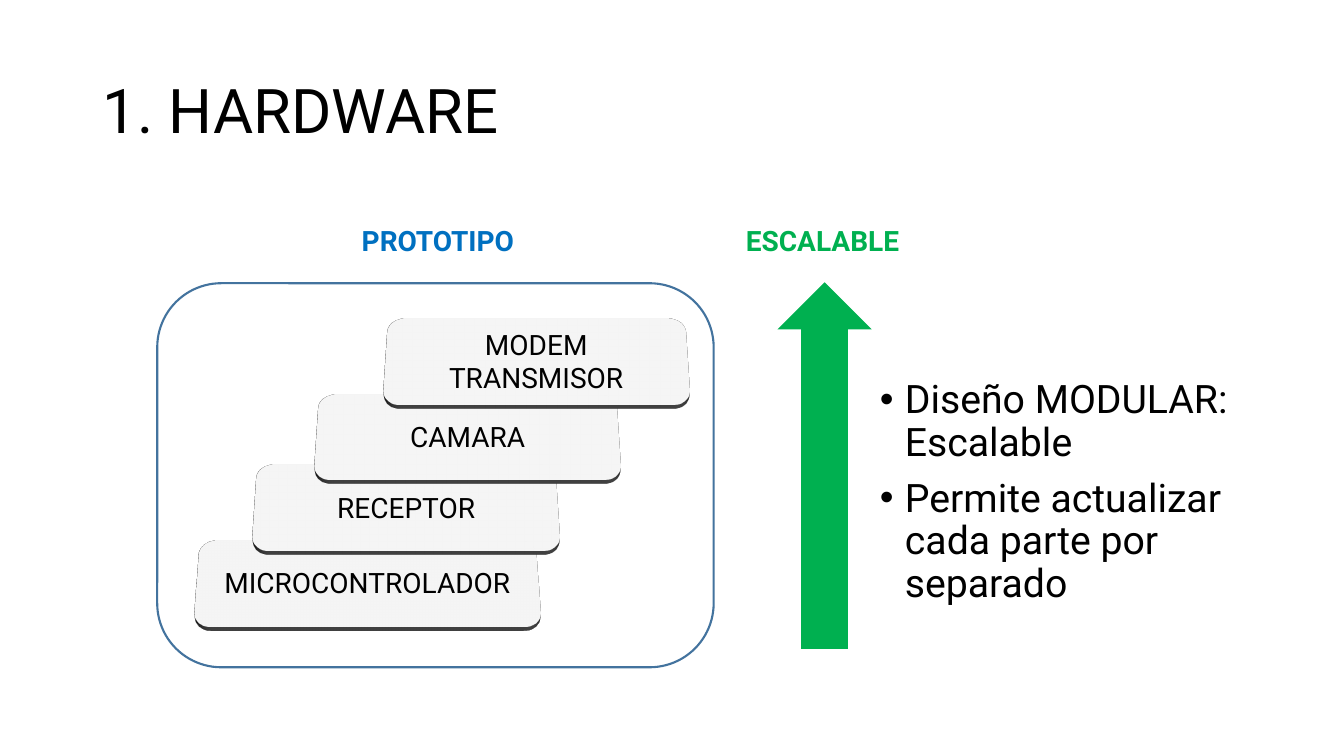
from lxml.etree import SubElement
from pptx import Presentation
from pptx.dml.color import RGBColor
from pptx.enum.shapes import MSO_SHAPE as Preset
from pptx.enum.text import MSO_ANCHOR as Anchor
from pptx.enum.text import MSO_AUTO_SIZE as AutoSize
from pptx.enum.text import PP_ALIGN as Align
from pptx.oxml.ns import qn
from pptx.util import Inches, Pt

BLACK = RGBColor(0x00, 0x00, 0x00)
BLUE = RGBColor(0x00, 0x70, 0xC0)
GREEN = RGBColor(0x00, 0xB0, 0x50)
FRAME_BLUE = RGBColor(0x43, 0x73, 0x9E)
CARD_GRAY = RGBColor(0xA6, 0xA6, 0xA6)
CARD_LINE = RGBColor(0x80, 0x80, 0x80)

# Grid of square cells, 75 rows high
ROWS = 75
CARD_HEIGHT = 10.4


class HardwareSlide:
    font_name = "Roboto"

    def __init__(self, presentation):
        self.cell = presentation.slide_height / ROWS
        self.slide = presentation.slides.add_slide(presentation.slide_layouts[5])
        self.shapes = self.slide.shapes

    def grid(self, *cells):
        return [round(value * self.cell) for value in cells]

    def style(self, paragraph, size, color=BLACK, bold=False, align=Align.LEFT):
        font = paragraph.font
        font.name, font.size, font.bold = self.font_name, Pt(size), bold
        font.color.rgb = color
        paragraph.alignment = align

    def title(self, text, box):
        title = self.shapes.title
        title.left, title.top, title.width, title.height = self.grid(*box)
        frame = title.text_frame
        frame.text = text
        frame.auto_size = AutoSize.NONE
        frame.vertical_anchor = Anchor.MIDDLE
        frame.paragraphs[0].line_spacing = 0.9
        self.style(frame.paragraphs[0], 44)

    def label(self, text, box, color):
        frame = self.shapes.add_textbox(*self.grid(*box)).text_frame
        frame.text = text
        frame.word_wrap = False
        frame.auto_size = AutoSize.SHAPE_TO_FIT_TEXT
        self.style(frame.paragraphs[0], 20, color, bold=True)

    def bullets(self, lines, box):
        frame = self.shapes.add_textbox(*self.grid(*box)).text_frame
        frame.word_wrap = True
        frame.text = "\n".join(lines)
        for paragraph in frame.paragraphs:
            self.style(paragraph, 28)
            paragraph.line_spacing = 0.9
            paragraph.space_before = Pt(10)
            properties = paragraph._p.get_or_add_pPr()
            properties.set("marL", str(Inches(0.25)))
            properties.set("indent", str(-Inches(0.25)))
            SubElement(properties, qn("a:buFont")).set("typeface", "Arial")
            SubElement(properties, qn("a:buChar")).set("char", "•")

    def preset(self, kind, box, line, width=1, fill=None):
        shape = self.shapes.add_shape(kind, *self.grid(*box))
        shape.shadow.inherit = False
        if fill is None:
            shape.fill.background()
        else:
            shape.fill.solid()
            shape.fill.fore_color.rgb = fill
        shape.line.color.rgb = line
        shape.line.width = Pt(width)
        outline = shape._element.spPr.find(qn("a:ln"))
        SubElement(outline, qn("a:miter")).set("lim", "800000")
        return shape

    def tilt(self, shape):
        """Lean the shape back in perspective and give it a thin edge."""
        properties = shape._element.spPr
        scene = SubElement(properties, qn("a:scene3d"))
        camera = SubElement(scene, qn("a:camera"))
        camera.set("prst", "perspectiveRelaxedModerately")
        light = SubElement(scene, qn("a:lightRig"))
        light.set("rig", "threePt")
        light.set("dir", "t")
        SubElement(properties, qn("a:sp3d")).set("extrusionH", str(Pt(5)))

    def card(self, text, left, top, width):
        box = (left, top, width, CARD_HEIGHT)
        shape = self.preset(Preset.ROUNDED_RECTANGLE, box, CARD_LINE, fill=CARD_GRAY)
        self.tilt(shape)
        frame = shape.text_frame
        frame.text = text
        frame.word_wrap = True
        frame.vertical_anchor = Anchor.MIDDLE
        self.style(frame.paragraphs[0], 20, align=Align.CENTER)


def main():
    presentation = Presentation()
    presentation.slide_width, presentation.slide_height = Inches(13.333), Inches(7.5)
    page = HardwareSlide(presentation)
    page.title("1. HARDWARE", (9.2, 4, 115, 14.5))

    # Prototype frame and upward arrow
    page.preset(Preset.ROUNDED_RECTANGLE, (15.6, 28.1, 55.2, 38.1), FRAME_BLUE, 1.5)
    arrow = page.preset(Preset.RIGHT_ARROW, (63.7, 41.7, 36.2, 9), GREEN, fill=GREEN)
    arrow.rotation = 270

    # Benefits
    page.bullets(
        ["Diseño MODULAR: Escalable", "Permite actualizar cada parte por separado"],
        (86.3, 37.2, 42, 27.2),
    )

    # Stacked modules, from the bottom up
    modules = [
        ("MICROCONTROLADOR", 19.5, 52.6, 33.9),
        ("RECEPTOR", 25.3, 45.1, 30),
        ("CAMARA", 31.4, 38.1, 30),
        ("MODEM TRANSMISOR", 38.2, 30.6, 30),
    ]
    for module in modules:
        page.card(*module)

    # Headings
    page.label("PROTOTIPO", (34.9, 21.7, 18.5, 4.4), BLUE)
    page.label("ESCALABLE", (73, 21.7, 19.2, 4.4), GREEN)
    presentation.save("out.pptx")


if __name__ == "__main__":
    main()
